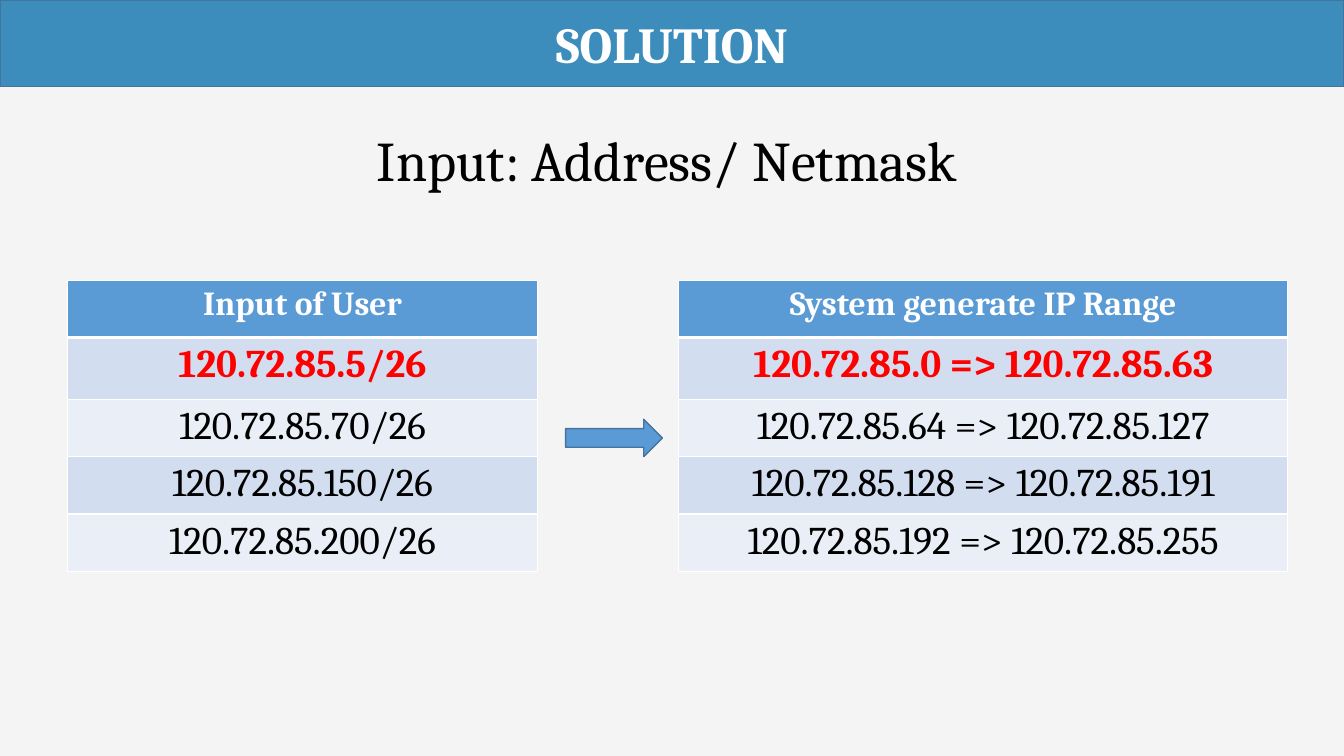
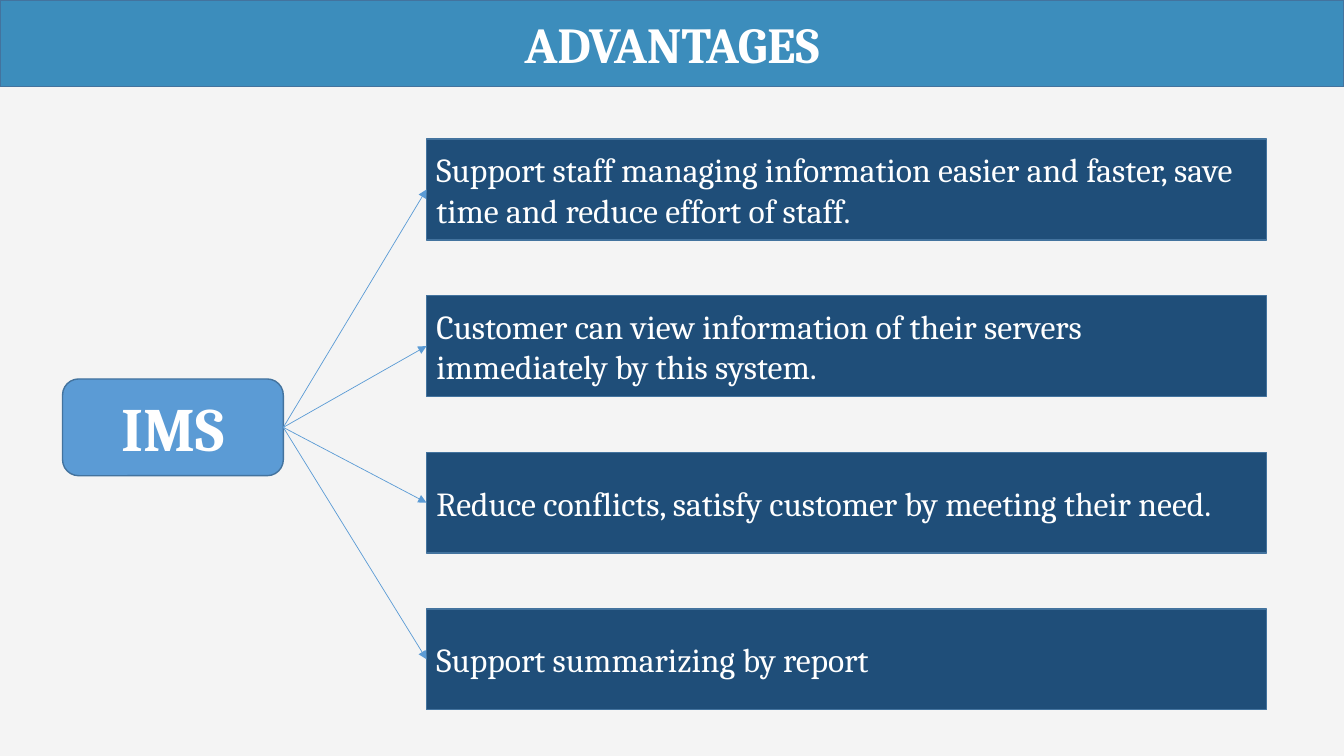
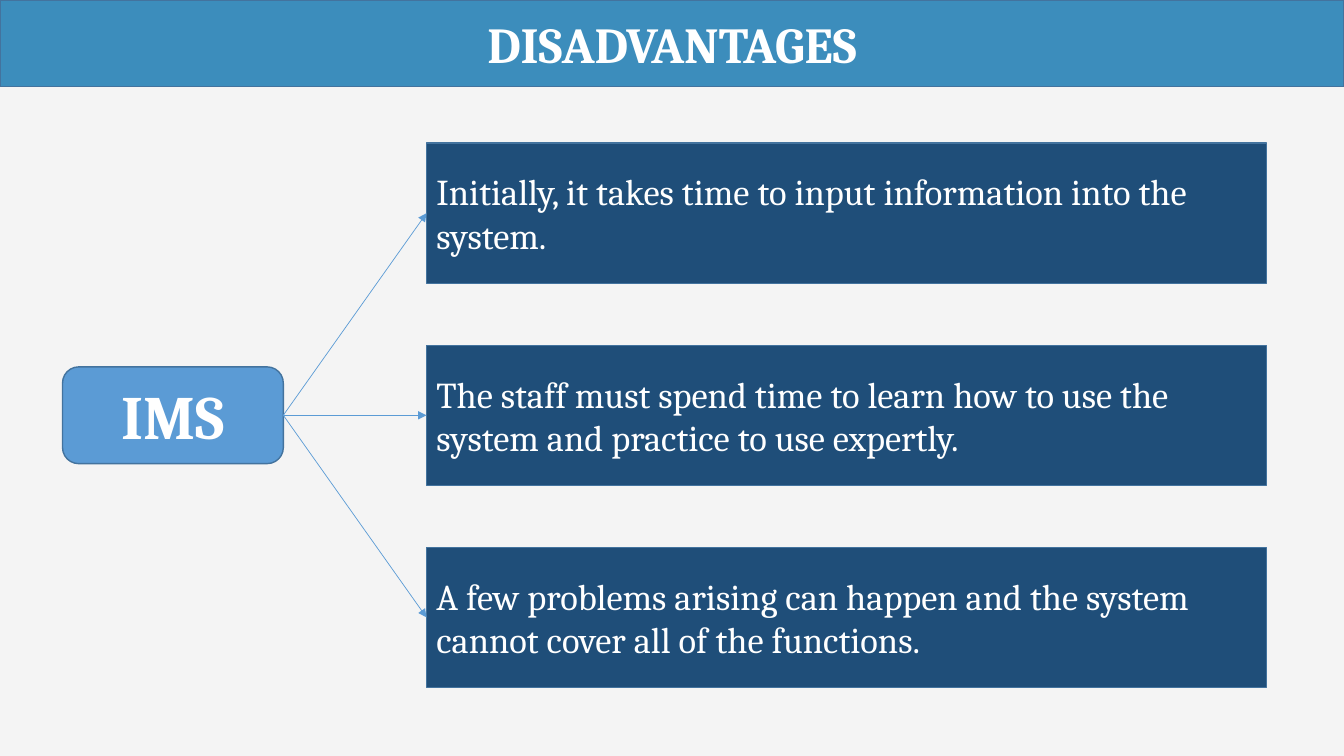
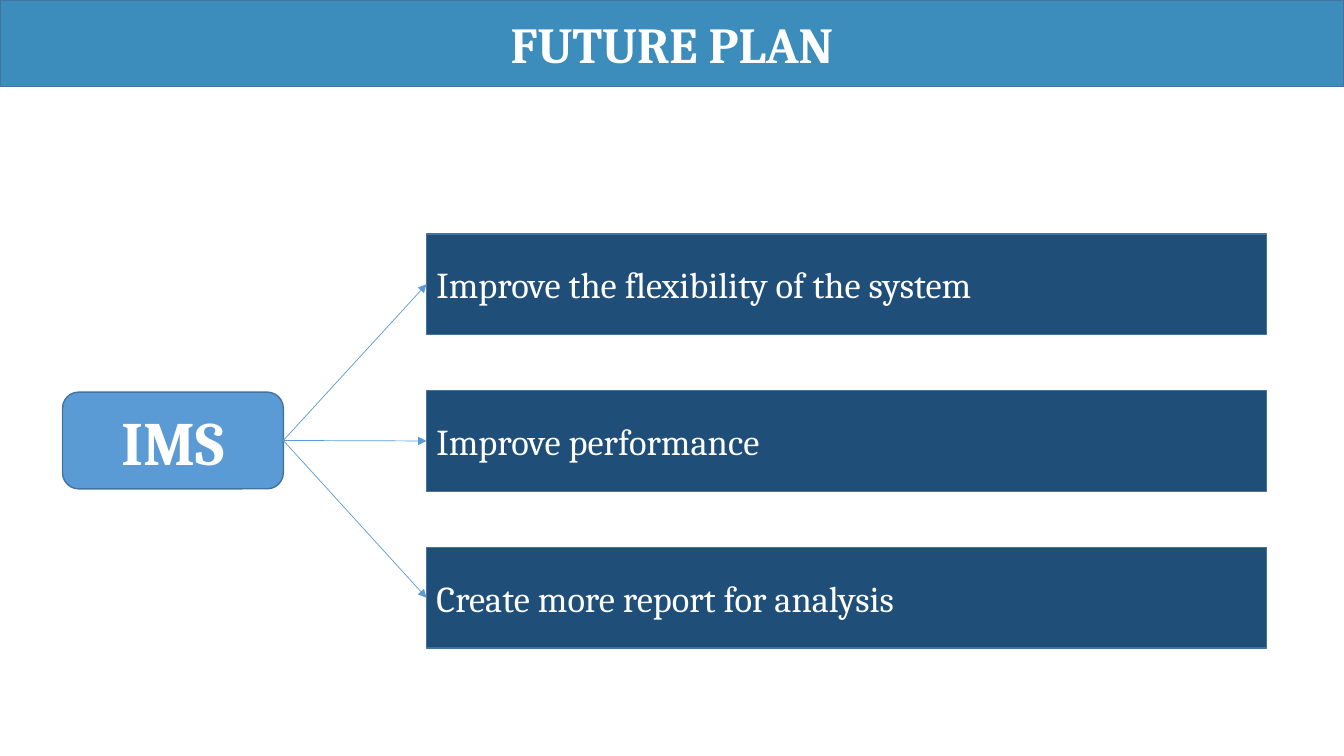
import pptx
import pptx.util
import pptx.dml.color
import pptx.enum.shapes
import pptx.enum.text
import pptx.oxml
import pptx.oxml.ns

Inches = pptx.util.Inches
Pt = pptx.util.Pt
Shape = pptx.enum.shapes.MSO_SHAPE
Align = pptx.enum.text.PP_ALIGN
Anchor = pptx.enum.text.MSO_ANCHOR


class Deck:
    font = "Cambria"
    hues = {
        "paper": "F4F4F4",
        "white": "FFFFFF",
        "black": "000000",
        "red": "FF0000",
        "band": "3C8DBC",
        "edge": "43739E",
        "blue": "5B9BD5",
        "navy": "1F4E79",
        "odd": "D2DEEF",
        "even": "EAEFF7",
    }

    def __init__(self):
        self.show = pptx.Presentation()
        self.show.slide_width = Inches(13.33)
        self.show.slide_height = Inches(7.5)
        self.slide = None

    def hue(self, name):
        return pptx.dml.color.RGBColor.from_string(self.hues[name])

    def fill(self, item, name):
        item.fill.solid()
        item.fill.fore_color.rgb = self.hue(name)

    def edge(self, item, name="edge", width=1):
        item.line.color.rgb = self.hue(name)
        item.line.width = Pt(width)

    def words(self, frame, text, size, hue="white", bold=False, align=Align.LEFT):
        frame.text = text
        frame.word_wrap = True
        for para in frame.paragraphs:
            para.alignment = align
            para.font.name = self.font
            para.font.size = Pt(size)
            para.font.bold = bold
            para.font.color.rgb = self.hue(hue)

    def page(self, text, back="paper"):
        self.slide = self.show.slides.add_slide(self.show.slide_layouts[5])
        self.fill(self.slide.background, back)
        title = self.slide.shapes.title
        title.left, title.top = Inches(0), Inches(0)
        title.width, title.height = self.show.slide_width, Inches(0.86)
        self.fill(title, "band")
        self.edge(title)
        self.words(title.text_frame, text, 36, bold=True, align=Align.CENTER)
        title.text_frame.auto_size = pptx.enum.text.MSO_AUTO_SIZE.NONE
        title.text_frame.vertical_anchor = Anchor.MIDDLE

    def shape(self, kind, left, top, width, height, hue):
        item = self.slide.shapes.add_shape(
            kind, Inches(left), Inches(top), Inches(width), Inches(height))
        item.shadow.inherit = False
        self.fill(item, hue)
        self.edge(item)
        return item

    def label(self, text, left, top, width, height, size):
        box = self.slide.shapes.add_textbox(
            Inches(left), Inches(top), Inches(width), Inches(height))
        self.words(box.text_frame, text, size, "black")

    def arrow(self, start, end):
        line = self.slide.shapes.add_connector(
            pptx.enum.shapes.MSO_CONNECTOR.STRAIGHT,
            Inches(0), Inches(0), Inches(0), Inches(0))
        line.begin_connect(start, 3)
        line.end_connect(end, 1)
        self.edge(line, "blue", 0.5)
        props = line._element.spPr
        props.find(pptx.oxml.ns.qn("a:ln")).append(pptx.oxml.parse_xml(
            f'<a:tailEnd {pptx.oxml.ns.nsdecls("a")} type="triangle"/>'))
        props.append(pptx.oxml.parse_xml(
            f'<a:effectLst {pptx.oxml.ns.nsdecls("a")}/>'))

    def border(self, cell, row):
        props = cell._tc.get_or_add_tcPr()
        for side in "LRTB":
            thick = (side, row) in (("B", 0), ("T", 1))
            width = Pt(3 if thick else 1)
            props.append(pptx.oxml.parse_xml(
                f'<a:ln{side} {pptx.oxml.ns.nsdecls("a")} w="{width}">'
                f'<a:solidFill><a:srgbClr val="{self.hues["white"]}"/>'
                f'</a:solidFill></a:ln{side}>'))

    def table(self, texts, left, top, width):
        sizes = [0.57, 0.61, 0.57, 0.57, 0.57]
        grid = self.slide.shapes.add_table(
            len(texts), 1, Inches(left), Inches(top),
            Inches(width), Inches(sum(sizes))).table
        grid.horz_banding = False
        for row, (text, size) in enumerate(zip(texts, sizes)):
            grid.rows[row].height = Inches(size)
            cell = grid.cell(row, 0)
            self.border(cell, row)
            self.fill(cell, "blue" if row == 0 else "odd" if row % 2 else "even")
            hue = {0: "white", 1: "red"}.get(row, "black")
            self.words(cell.text_frame, text, 28 if row else 24, hue,
                       row < 2, Align.CENTER)

    def fan(self, texts, first, last, height, hub, size):
        root = self.shape(Shape.ROUNDED_RECTANGLE, 0.62, hub, 2.19, 0.96, "blue")
        self.words(root.text_frame, "IMS", 44, bold=True, align=Align.CENTER)
        step = (last - first) / (len(texts) - 1)
        for index, text in enumerate(texts):
            box = self.shape(Shape.RECTANGLE, 4.23, first + index * step,
                             8.33, height, "navy")
            self.words(box.text_frame, text, size)
            self.arrow(root, box)


def main():
    deck = Deck()

    deck.page("SOLUTION")
    deck.table(["Input of User", "120.72.85.5/26", "120.72.85.70/26",
                "120.72.85.150/26", "120.72.85.200/26"], 0.67, 2.78, 4.66)
    deck.table(["System generate IP Range",
                "120.72.85.0 => 120.72.85.63",
                "120.72.85.64 => 120.72.85.127",
                "120.72.85.128 => 120.72.85.191",
                "120.72.85.192 => 120.72.85.255"], 6.73, 2.78, 6.04)
    deck.shape(Shape.RIGHT_ARROW, 5.61, 4.16, 0.96, 0.37, "blue")
    deck.label("Input: Address/ Netmask", 3.64, 1.2, 6.96, 0.77, 40)

    deck.page("ADVANTAGES")
    deck.fan([
        "Support staff managing information easier and faster, "
        "save time and reduce effort of staff.",
        "Customer can view information of their servers "
        "immediately by this system.",
        "Reduce conflicts, satisfy customer by meeting their need.",
        "Support summarizing by report",
    ], 1.38, 6.04, 1, 3.76, 24)

    deck.page("DISADVANTAGES")
    deck.fan([
        "Initially, it takes time to input information into the system.",
        "The staff must spend time to learn how to use the system "
        "and practice to use expertly.",
        "A few problems arising can happen and the system "
        "cannot cover all of the functions.",
    ], 1.42, 5.43, 1.39, 3.64, 26)

    deck.page("FUTURE PLAN", "white")
    deck.fan([
        "Improve the flexibility of the system",
        "Improve performance",
        "Create more report for analysis",
    ], 2.32, 5.43, 1, 3.89, 26)

    deck.show.save("out.pptx")


if __name__ == "__main__":
    main()
